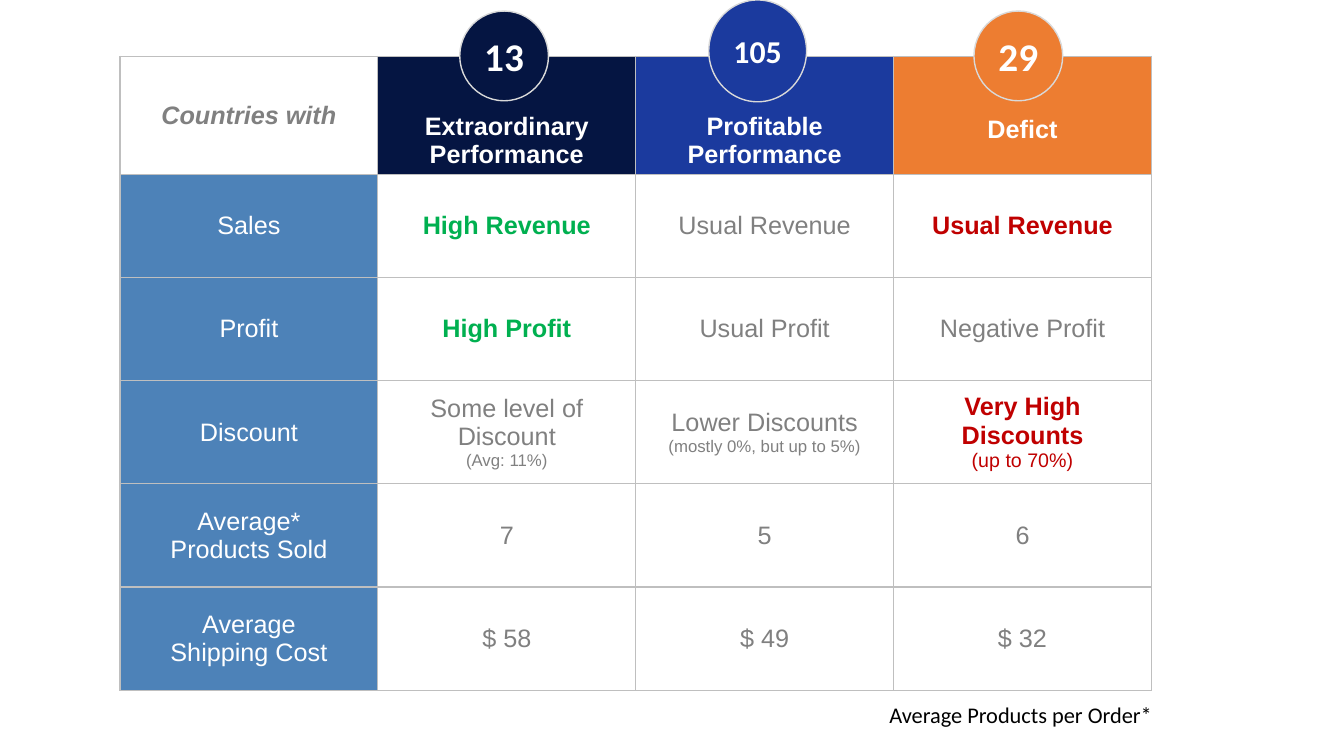
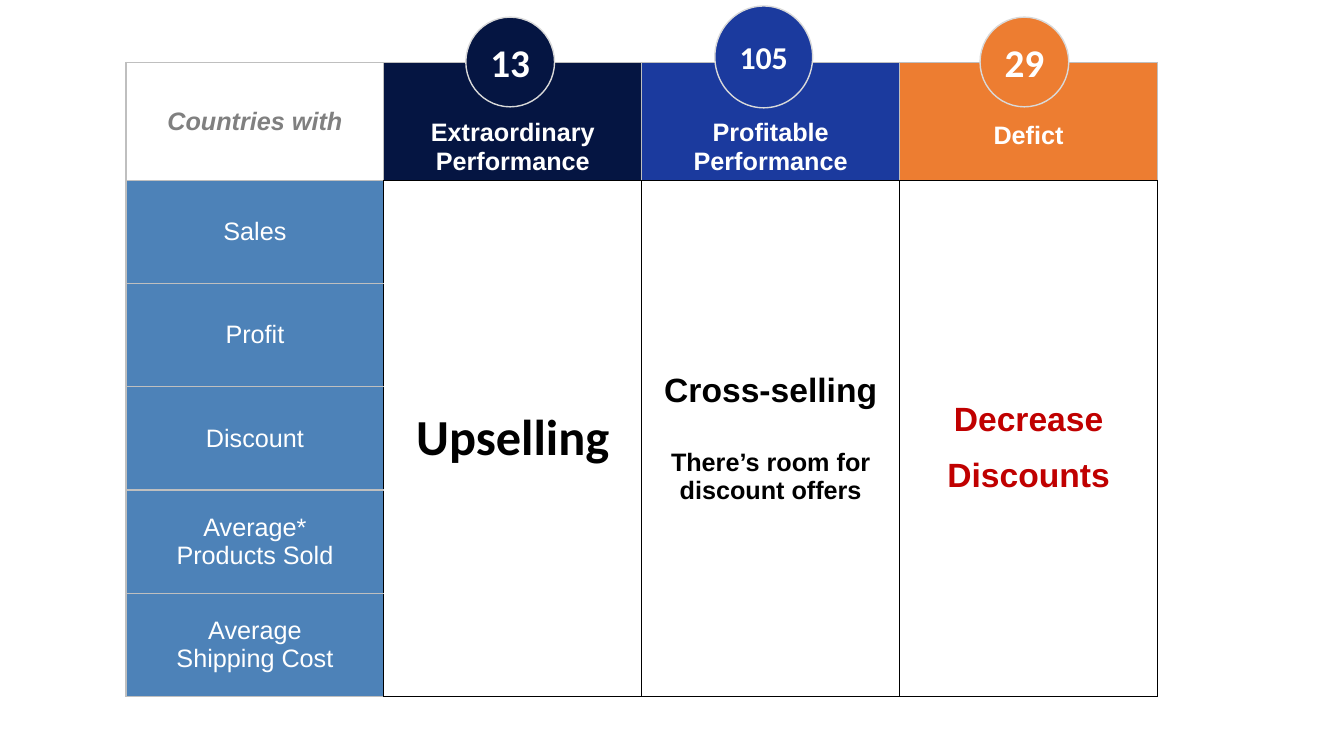
"""Build two slides that compare country groups by sales performance."""
import dataclasses
import typing

import lxml.etree
import pptx
import pptx.dml.color
import pptx.enum.shapes
import pptx.enum.text
import pptx.oxml.ns
import pptx.util

Inches = pptx.util.Inches
Pt = pptx.util.Pt
ALIGN = pptx.enum.text.PP_ALIGN
ANCHOR = pptx.enum.text.MSO_ANCHOR

COLORS = {
    "navy": "051542", "blue": "1B3A9E", "orange": "ED7D31", "steel": "4D82B8",
    "white": "FFFFFF", "black": "000000", "gray": "808080", "green": "00B050",
    "red": "C00000", "border": "BFBFBF", "ring": "D9D9D9",
}
TABLE_WIDTH, TABLE_HEIGHT, HEADER_HEIGHT = 10.23, 6.29, 1.17
LAYOUT_TITLE_ONLY, LAYOUT_BLANK = 5, 6


@dataclasses.dataclass(frozen=True)
class Line:
    """One paragraph of text and its style."""
    text: str
    color: str = "gray"
    size: float = 18
    bold: bool = False
    italic: bool = False
    font: str = "Arial"
    spacing: float = 1.0
    space_before: float = 0


@dataclasses.dataclass(frozen=True)
class Group:
    """A country group: its header lines and its count badge."""
    header: tuple[str, ...]
    color: str
    count: str
    count_size: float
    left: float
    rise: float
    width: float
    height: float
    anchor: typing.Any = ANCHOR.BOTTOM
    margin_top: float = 0.05


GROUPS = (
    Group(("Extraordinary", "Performance"), "navy", "13", 28, 3.37, 0.45, 0.88, 0.89),
    Group(("Profitable", "Performance"), "blue", "105", 22.7, 5.84, 0.56, 0.97, 1.01),
    Group(("Defict",), "orange", "29", 28, 8.47, 0.45, 0.88, 0.89, ANCHOR.MIDDLE, 0.33),
)
MEASURES = (("Sales",), ("Profit",), ("Discount",),
            ("Average*", "Products Sold"), ("Average", "Shipping Cost"))
FINDINGS = (
    ((Line("High Revenue", "green", bold=True),),
     (Line("Usual Revenue"),),
     (Line("Usual Revenue", "red", bold=True),)),
    ((Line("High Profit", "green", bold=True),),
     (Line("Usual Profit"),),
     (Line("Negative Profit"),)),
    ((Line("Some level of Discount"), Line("(Avg: 11%)", size=12)),
     (Line("Lower Discounts"), Line("(mostly 0%, but up to 5%)", size=12)),
     (Line("Very High Discounts", "red", bold=True), Line("(up to 70%)", "red", 14))),
    ((Line("7"),), (Line("5"),), (Line("6"),)),
    ((Line("$ 58"),), (Line("$ 49"),), (Line("$ 32"),)),
)
ACTIONS = (
    (Line("Upselling", "black", 36, bold=True, font="Calibri"),),
    (Line("Cross-selling", "black", 24, bold=True),
     Line("There’s room for discount offers", "black", bold=True, space_before=28)),
    (Line("Decrease Discounts", "red", 24, bold=True, spacing=1.5),),
)


def rgb(name: str) -> pptx.dml.color.RGBColor:
    """Return a named colour."""
    return pptx.dml.color.RGBColor.from_string(COLORS[name])


def write(frame: typing.Any, lines: typing.Sequence[Line], align: typing.Any = ALIGN.CENTER) -> None:
    """Write styled lines into a text frame."""
    for index, line in enumerate(lines):
        para = frame.paragraphs[0] if index == 0 else frame.add_paragraph()
        para.text = line.text
        para.alignment = align
        para.line_spacing = line.spacing
        para.space_before = Pt(line.space_before)
        para.font.name = line.font
        para.font.size = Pt(line.size)
        para.font.bold = line.bold
        para.font.italic = line.italic
        para.font.color.rgb = rgb(line.color)


def set_borders(cell: typing.Any, **sides: str) -> None:
    """Draw the four cell borders, gray unless a side names a colour."""
    properties = cell._tc.get_or_add_tcPr()
    qualify = pptx.oxml.ns.qn
    for side in "LRTB":
        edge = lxml.etree.SubElement(properties, qualify(f"a:ln{side}"), w=str(Pt(1)))
        fill = lxml.etree.SubElement(edge, qualify("a:solidFill"))
        lxml.etree.SubElement(fill, qualify("a:srgbClr"), val=COLORS[sides.get(side, "border")])


def fill_cell(cell: typing.Any, lines: typing.Sequence[Line], fill: str = "",
              anchor: typing.Any = ANCHOR.MIDDLE, **sides: str) -> None:
    """Give a cell its borders, fill and text."""
    set_borders(cell, **sides)
    if fill:
        cell.fill.solid()
        cell.fill.fore_color.rgb = rgb(fill)
    else:
        cell.fill.background()
    cell.vertical_anchor = anchor
    write(cell.text_frame, lines)


def add_badge(page: typing.Any, group: Group, left: float, top: float) -> None:
    """Add the round count badge that overlaps a group header."""
    badge = page.shapes.add_shape(
        pptx.enum.shapes.MSO_SHAPE.OVAL, Inches(left + group.left), Inches(top - group.rise),
        Inches(group.width), Inches(group.height))
    badge.shadow.inherit = False
    badge.fill.solid()
    badge.fill.fore_color.rgb = rgb(group.color)
    badge.line.color.rgb = rgb("ring")
    badge.line.width = Pt(1)
    frame = badge.text_frame
    frame.margin_left = frame.margin_right = 0
    frame.word_wrap = False
    frame.vertical_anchor = ANCHOR.MIDDLE
    write(frame, [Line(group.count, "white", group.count_size, bold=True, font="Calibri")])


def add_comparison(page: typing.Any, left: float, top: float, inner: str) -> typing.Any:
    """Add the table with its headers and badges; inner colours the body edges."""
    rows, columns = len(MEASURES) + 1, len(GROUPS) + 1
    table = page.shapes.add_table(rows, columns, Inches(left), Inches(top),
                                  Inches(TABLE_WIDTH), Inches(TABLE_HEIGHT)).table
    table.first_row = table.horz_banding = False
    for column in table.columns:
        column.width = Inches(TABLE_WIDTH / columns)
    for row in table.rows:
        row.height = Inches((TABLE_HEIGHT - HEADER_HEIGHT) / len(MEASURES))
    table.rows[0].height = Inches(HEADER_HEIGHT)

    fill_cell(table.cell(0, 0), [Line("Countries with", bold=True, italic=True)])
    for index, group in enumerate(GROUPS, 1):
        cell = table.cell(0, index)
        header = [Line(text, "white", bold=True) for text in group.header]
        fill_cell(cell, header, group.color, group.anchor, B=inner)
        cell.margin_top = Inches(group.margin_top)
        add_badge(page, group, left, top)
    for index, measure in enumerate(MEASURES, 1):
        fill_cell(table.cell(index, 0), [Line(text, "white") for text in measure], "steel", R=inner)
    return table


def build_findings(deck: typing.Any) -> None:
    """Build the slide of findings for each measure."""
    page = deck.slides.add_slide(deck.slide_layouts[LAYOUT_TITLE_ONLY])
    table = add_comparison(page, 1.19, 0.56, "border")
    for row, findings in enumerate(FINDINGS, 1):
        for column, lines in enumerate(findings, 1):
            fill_cell(table.cell(row, column), lines)
    title = page.shapes.title
    title.left, title.top = Inches(8.72), Inches(6.72)
    title.width, title.height = Inches(2.89), Inches(0.78)
    title.text_frame.auto_size = pptx.enum.text.MSO_AUTO_SIZE.NONE
    title.text_frame.vertical_anchor = ANCHOR.MIDDLE
    write(title.text_frame, [Line("Average Products per Order*", "black", 16,
                                  font="Calibri", spacing=0.9)], ALIGN.LEFT)


def build_actions(deck: typing.Any) -> None:
    """Build the slide of one action for each group."""
    page = deck.slides.add_slide(deck.slide_layouts[LAYOUT_BLANK])
    table = add_comparison(page, 1.25, 0.62, "black")
    black_sides = dict.fromkeys("LRTB", "black")
    last_row = len(MEASURES)
    for column, lines in enumerate(ACTIONS, 1):
        fill_cell(table.cell(1, column), lines, **black_sides)
        for row in range(2, last_row + 1):
            fill_cell(table.cell(row, column), (), **black_sides)
        table.cell(1, column).merge(table.cell(last_row, column))


def main() -> None:
    """Build and save the deck."""
    deck = pptx.Presentation()
    deck.slide_width, deck.slide_height = Inches(13.33), Inches(7.5)
    build_findings(deck)
    build_actions(deck)
    deck.save("out.pptx")


main()
